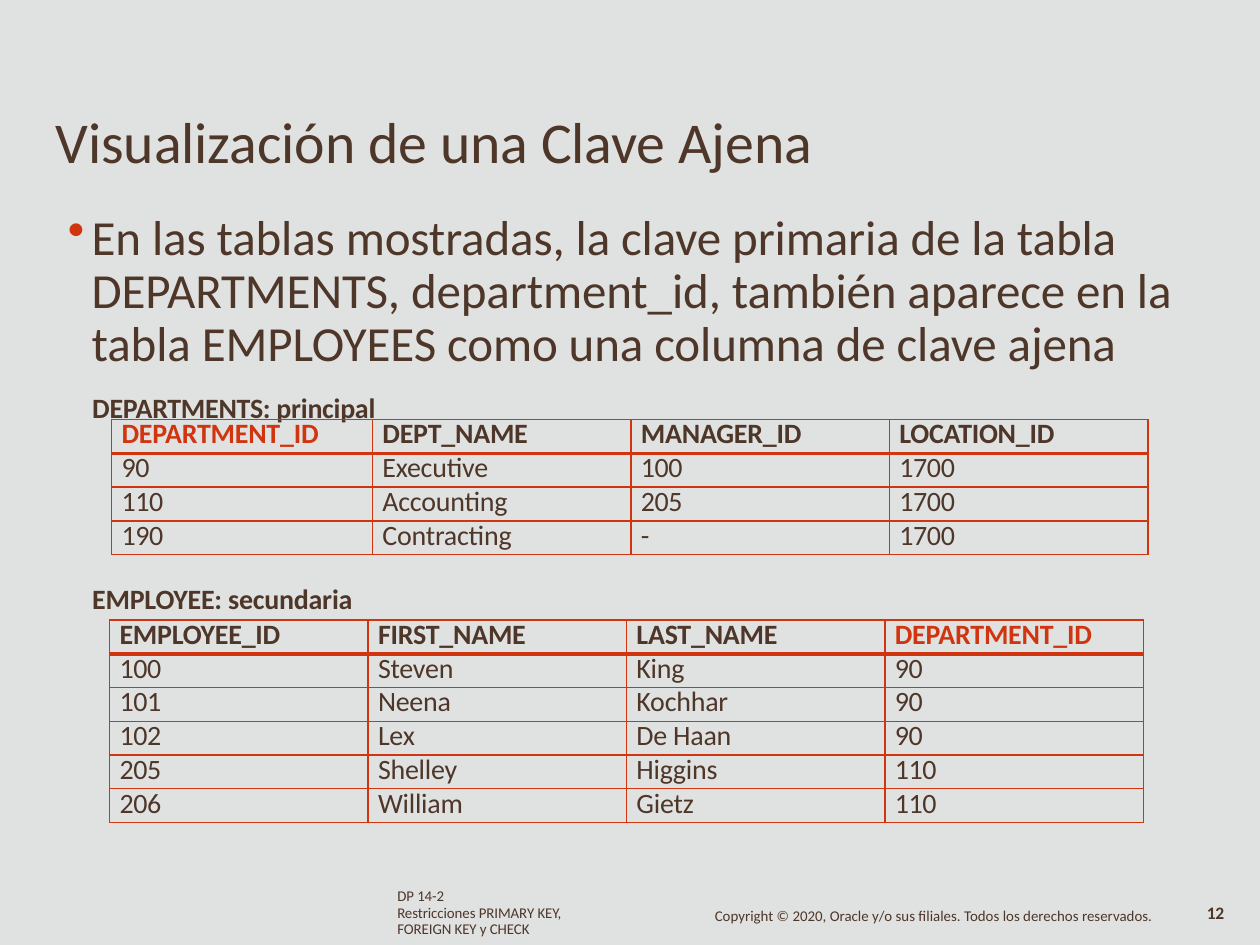
from dataclasses import dataclass

import pptx
import pptx.dml.color
import pptx.oxml
import pptx.oxml.ns
import pptx.util
from pptx.util import Cm

COLORS = {"background": "E0E2E1", "text": "4E3629", "accent": "D1350F"}
FONT = "Calibri"
ROW_HEIGHT = 0.68
COLUMN_WIDTH = 5.21


@dataclass
class TextSpec:
    text: str
    left: float
    top: float
    width: float
    height: float
    size: float
    bold: bool = False
    spacing: float = -0.1
    line: float | None = None
    gap: float = 0
    bullet: bool = False


@dataclass
class TableSpec:
    left: float
    top: float
    first_width: float
    key_column: int
    rows: list[list[str]]


TEXTS = [
    TextSpec("Visualización de una Clave Ajena", 1.12, 2.14, 18, 1.42, 33, spacing=-0.05),
    TextSpec(
        "En las tablas mostradas, la clave primaria de la tabla DEPARTMENTS, "
        "department_id, también aparece en la tabla EMPLOYEES como una columna "
        "de clave ajena",
        1.35, 4.28, 22.45, 3.2, 28, spacing=-0.07, line=30.3, bullet=True,
    ),
    TextSpec("DEPARTMENTS: principal", 1.86, 7.88, 5.89, 0.69, 16, bold=True, spacing=-0.15),
    TextSpec("EMPLOYEE: secundaria", 1.86, 11.72, 5.41, 0.69, 16, bold=True),
    TextSpec(
        "DP 14-2\nRestricciones PRIMARY KEY, FOREIGN KEY y CHECK",
        8.01, 17.91, 3.48, 1.02, 8.5, spacing=-0.05, line=9.2, gap=0.6,
    ),
    TextSpec(
        "Copyright © 2020, Oracle y/o sus filiales. Todos los derechos reservados.",
        14.41, 18.31, 8.94, 0.38, 8.5, spacing=0, line=9.1,
    ),
    TextSpec("12", 24.33, 18.24, 0.6, 0.43, 10, bold=True, spacing=-0.2, line=10.4),
]

DEPARTMENTS = TableSpec(2.25, 8.46, 5.26, 0, [
    ["DEPARTMENT_ID", "DEPT_NAME", "MANAGER_ID", "LOCATION_ID"],
    ["90", "Executive", "100", "1700"],
    ["110", "Accounting", "205", "1700"],
    ["190", "Contracting", "-", "1700"],
])
EMPLOYEES = TableSpec(2.21, 12.5, COLUMN_WIDTH, 3, [
    ["EMPLOYEE_ID", "FIRST_NAME", "LAST_NAME", "DEPARTMENT_ID"],
    ["100", "Steven", "King", "90"],
    ["101", "Neena", "Kochhar", "90"],
    ["102", "Lex", "De Haan", "90"],
    ["205", "Shelley", "Higgins", "110"],
    ["206", "William", "Gietz", "110"],
])


def rgb(name: str) -> pptx.dml.color.RGBColor:
    return pptx.dml.color.RGBColor.from_string(COLORS[name])


def append_xml(parent, xml: str) -> None:
    opening, closing = xml.split(">", 1) if not xml.endswith("/>") else (xml[:-2], None)
    namespaces = pptx.oxml.ns.nsdecls("a")
    ending = "/>" if closing is None else ">" + closing
    parent.append(pptx.oxml.parse_xml(f"{opening} {namespaces}{ending}"))


def write_text(paragraph, text: str, *, size: float, color: str = "text",
               bold: bool = False, spacing: float = 0, line: float | None = None) -> None:
    run = paragraph.add_run()
    run.text = text
    run.font.name = FONT
    run.font.size = pptx.util.Pt(size)
    run.font.bold = bold
    run.font.color.rgb = rgb(color)
    run._r.get_or_add_rPr().set("spc", str(round(spacing * 100)))
    if line:
        paragraph.line_spacing = pptx.util.Pt(line)


def add_bullet(paragraph) -> None:
    properties = paragraph._p.get_or_add_pPr()
    properties.set("marL", str(Cm(0.5)))
    properties.set("indent", str(-Cm(0.48)))
    append_xml(properties, f'<a:buClr><a:srgbClr val="{COLORS["accent"]}"/></a:buClr>')
    append_xml(properties, '<a:buChar char="•"/>')


def draw_text(slide, spec: TextSpec) -> None:
    box = slide.shapes.add_textbox(Cm(spec.left), Cm(spec.top), Cm(spec.width), Cm(spec.height))
    frame = box.text_frame
    frame.word_wrap = True
    frame.margin_left = frame.margin_right = frame.margin_top = frame.margin_bottom = 0
    for index, text in enumerate(spec.text.split("\n")):
        paragraph = frame.add_paragraph() if index else frame.paragraphs[0]
        if index:
            paragraph.space_before = pptx.util.Pt(spec.gap)
        if spec.bullet:
            add_bullet(paragraph)
        write_text(paragraph, text, size=spec.size, bold=spec.bold,
                   spacing=spec.spacing, line=spec.line)


def set_borders(cell, row: int) -> None:
    properties = cell._tc.get_or_add_tcPr()
    widths = {"L": 1, "R": 1, "T": 2.25 if row == 1 else 1, "B": 2.25 if row == 0 else 1}
    for side, width in widths.items():
        append_xml(
            properties,
            f'<a:ln{side} w="{pptx.util.Pt(width)}"><a:solidFill>'
            f'<a:srgbClr val="{COLORS["accent"]}"/></a:solidFill></a:ln{side}>',
        )


def draw_table(slide, spec: TableSpec) -> None:
    widths = [spec.first_width] + [COLUMN_WIDTH] * (len(spec.rows[0]) - 1)
    table = slide.shapes.add_table(
        len(spec.rows), len(widths), Cm(spec.left), Cm(spec.top),
        Cm(sum(widths)), Cm(ROW_HEIGHT * len(spec.rows)),
    ).table
    table.first_row = False
    table.horz_banding = False
    for column, width in zip(table.columns, widths):
        column.width = Cm(width)
    for row_index, values in enumerate(spec.rows):
        table.rows[row_index].height = Cm(ROW_HEIGHT)
        header = row_index == 0
        for column_index, value in enumerate(values):
            cell = table.cell(row_index, column_index)
            cell.margin_left = Cm(0.2)
            cell.margin_right = cell.margin_top = cell.margin_bottom = 0
            set_borders(cell, row_index)
            cell.fill.background()
            is_key = header and column_index == spec.key_column
            write_text(cell.text_frame.paragraphs[0], value, size=16, bold=header,
                       color="accent" if is_key else "text",
                       spacing=-0.2 if value.isdigit() else -0.1, line=18.2)


def main() -> None:
    presentation = pptx.Presentation()
    presentation.slide_width = Cm(25.4)
    presentation.slide_height = Cm(19.05)
    slide = presentation.slides.add_slide(presentation.slide_layouts[6])
    slide.background.fill.solid()
    slide.background.fill.fore_color.rgb = rgb("background")
    for spec in TEXTS:
        draw_text(slide, spec)
    for spec in (EMPLOYEES, DEPARTMENTS):
        draw_table(slide, spec)
    presentation.save("out.pptx")


if __name__ == "__main__":
    main()
